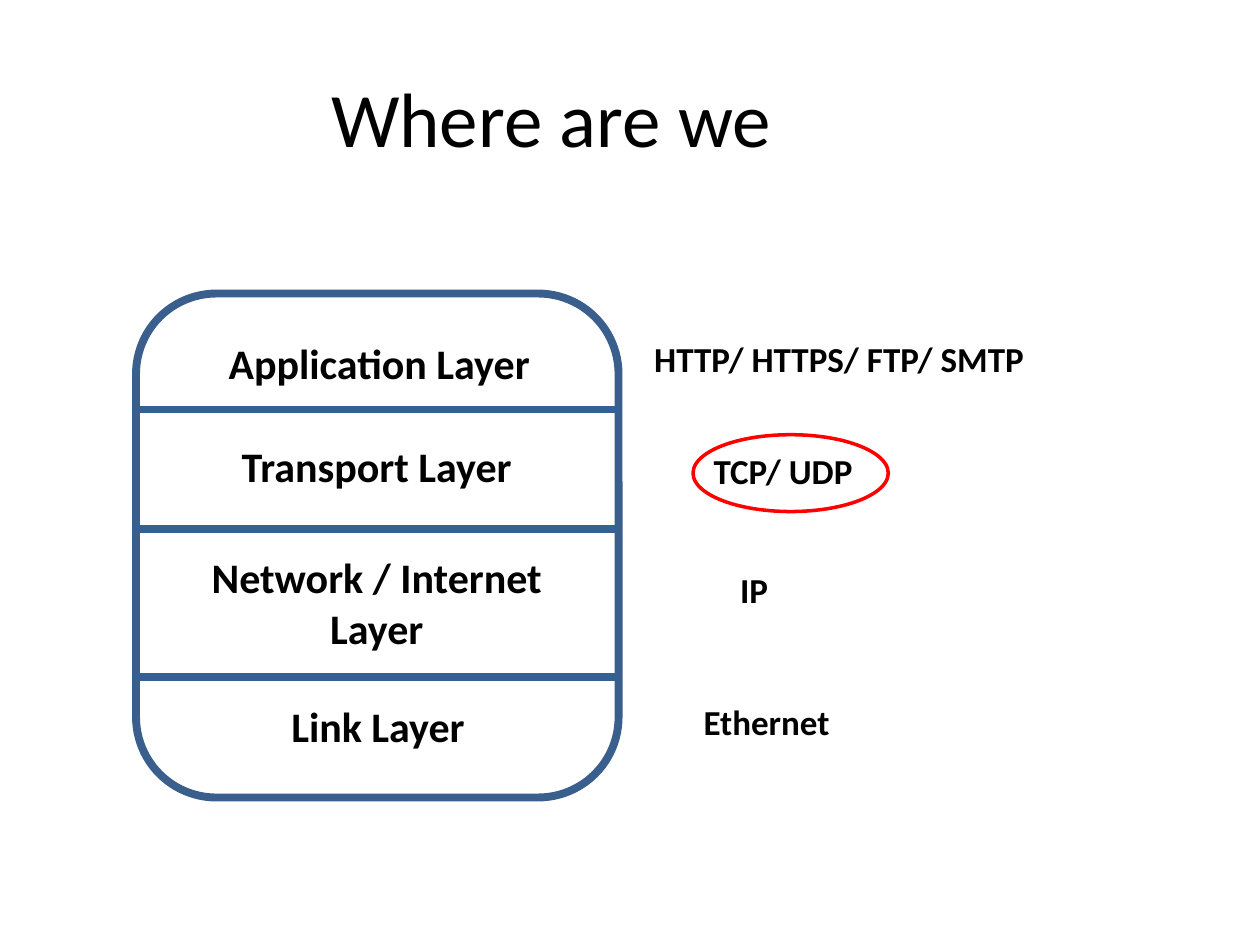
"""Build a slide showing the network layer stack and the protocols of each layer."""
from lxml import etree
from pptx import Presentation
from pptx.dml.color import RGBColor
from pptx.enum.shapes import MSO_CONNECTOR, MSO_SHAPE
from pptx.enum.text import MSO_ANCHOR, PP_ALIGN
from pptx.oxml.ns import qn
from pptx.util import Inches, Pt

ROUNDED, ELLIPSE = MSO_SHAPE.ROUNDED_RECTANGLE, MSO_SHAPE.OVAL
STRAIGHT = MSO_CONNECTOR.STRAIGHT
CENTER, MIDDLE, TOP = PP_ALIGN.CENTER, MSO_ANCHOR.MIDDLE, MSO_ANCHOR.TOP

FONT = "Calibri"
BLACK, FRAME_BLUE, DIVIDER_BLUE, RED = "000000", "3A5F8C", "376092", "FF0000"

TITLE = ("Where are we", (0.5, 0.3, 7.75, 1.25))
STACK = (1.08, 2.33, 3.83, 4)
HIGHLIGHT = (5.5, 3.45, 1.55, 0.61)
DIVIDERS = [(1.1, 3.25), (1.07, 4.2), (1.07, 5.37)]
LAYERS = [
    ("Application Layer", (1.51, 2.63, 3, 0.5)),
    ("Transport Layer", (1.49, 3.45, 3, 0.5)),
    ("Network / Internet Layer", (1.28, 4.33, 3.42, 0.91)),
    ("Link Layer", (1.29, 5.51, 3.42, 0.5)),
]
PROTOCOLS = [
    ("HTTP/ HTTPS/ FTP/ SMTP", (4.95, 2.63, 3.42, 0.44)),
    ("TCP/ UDP", (4.94, 3.52, 2.55, 0.44)),
    ("IP", (4.92, 4.46, 2.13, 0.44)),
    ("Ethernet", (4.92, 5.51, 2.33, 0.44)),
]


def color(value):
    return RGBColor.from_string(value)


def inches(box):
    return [Inches(length) for length in box]


def set_line(shape, value, width):
    shape.line.color.rgb = color(value)
    shape.line.width = Pt(width)


def add_text(slide, text, box, size, bold=True, anchor=TOP):
    frame = slide.shapes.add_textbox(*inches(box)).text_frame
    frame.word_wrap = True
    frame.vertical_anchor = anchor
    paragraph = frame.paragraphs[0]
    paragraph.alignment = CENTER
    run = paragraph.add_run()
    run.text = text
    run.font.name = FONT
    run.font.size = Pt(size)
    run.font.bold = bold
    run.font.color.rgb = color(BLACK)


def add_outline(slide, kind, box, line_color, width):
    shape = slide.shapes.add_shape(kind, *inches(box))
    shape.shadow.inherit = False
    shape.fill.background()
    set_line(shape, line_color, width)


def add_divider(slide, left, top):
    ends = inches((left, top, left + STACK[2], top))
    connector = slide.shapes.add_connector(STRAIGHT, *ends)
    set_line(connector, DIVIDER_BLUE, 4.5)
    etree.SubElement(connector._element.spPr, qn("a:effectLst"))


presentation = Presentation()
presentation.slide_width, presentation.slide_height = inches((10, 7.5))
slide = presentation.slides.add_slide(presentation.slide_layouts[6])

add_text(slide, *TITLE, 44, bold=False, anchor=MIDDLE)
add_outline(slide, ROUNDED, STACK, FRAME_BLUE, 4.5)
for left, top in DIVIDERS:
    add_divider(slide, left, top)
for labels, size in ((LAYERS, 24), (PROTOCOLS, 20)):
    for text, box in labels:
        add_text(slide, text, box, size)
add_outline(slide, ELLIPSE, HIGHLIGHT, RED, 2)

presentation.save("out.pptx")
